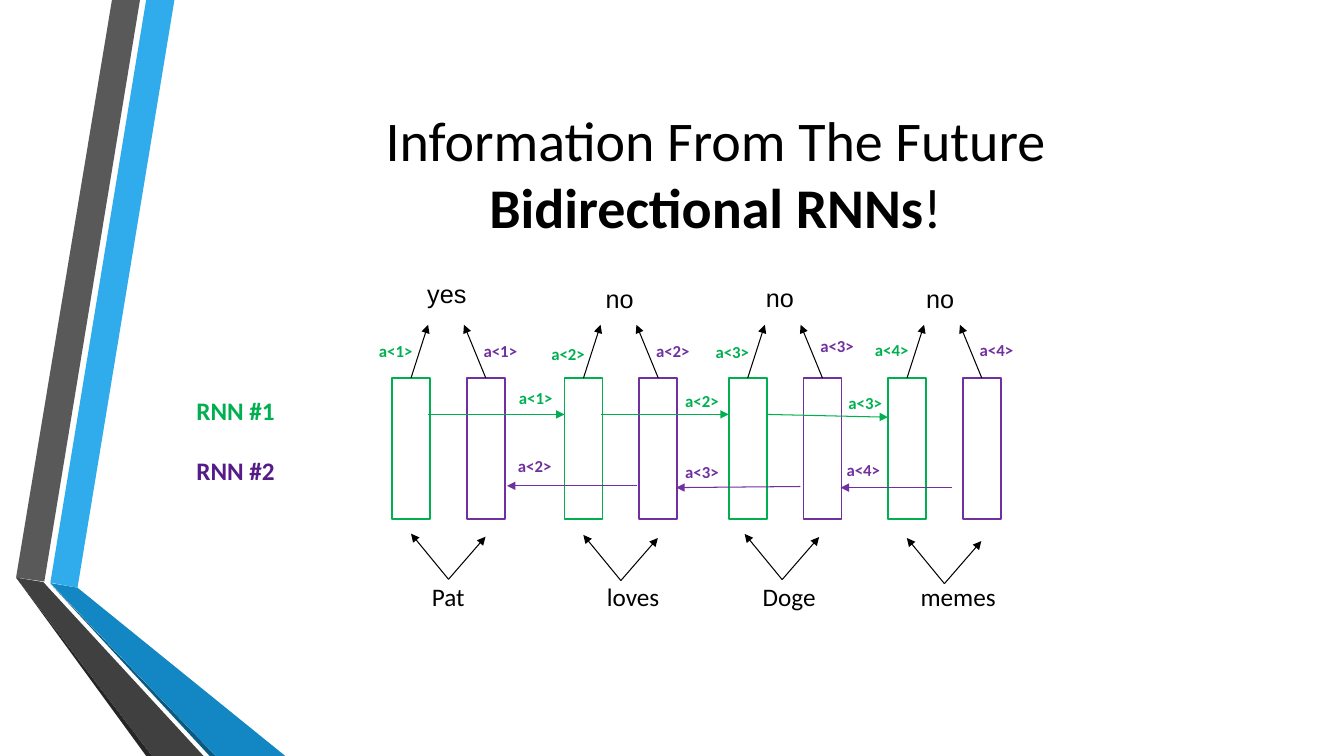
import pptx
import pptx.util
import pptx.dml.color
import pptx.enum.shapes
import pptx.enum.text
import lxml.etree

Pt = pptx.util.Pt
RGB = pptx.dml.color.RGBColor
BLACK, WHITE = RGB(0, 0, 0), RGB(255, 255, 255)
GREEN, PURPLE, DEEP = RGB(0, 176, 80), RGB(112, 48, 160), RGB(84, 27, 137)

# Ribbon bands: colour and corners
BANDS = [
    (RGB(48, 172, 236), [(36, 416.2), (55.4, 419.8), (124.6, 0), (104.4, 0)]),
    (RGB(89, 89, 89), [(100, 0), (80, 0), (11.5, 412.6), (31.7, 415.4)]),
    (RGB(38, 38, 38), [(11.5, 412.6), (104.4, 540), (108.7, 540)]),
    (RGB(12, 90, 130), [(36, 416.9), (149.8, 540), (154.1, 540)]),
    (RGB(18, 135, 195), [(36, 416.5), (154.1, 540), (203.8, 540), (55.4, 419.8)]),
    (RGB(64, 64, 64), [(145.4, 540), (34.6, 419.8), (31, 415.8), (11.5, 412.6),
                       (108.7, 540)]),
]
TITLE = [("Information From The Future", False),
         ("Bidirectional RNNs", True), ("!", False)]

# Time steps: left edge, answer and its place, word and its left edge,
# fork base, tops of the green and purple tags
STEPS = [
    (280, "yes", (298.1, 195.1), "Pat", 301.4, (320.4, 413.8), 239.8, 239.8),
    (403.2, "no", (425.5, 198.7), "loves", 426.4, (443.5, 414.7), 241.9, 239.8),
    (520.5, "no", (540, 198), "Doge", 537.7, (558.7, 414), 240.5, 236.2),
    (634.3, "no", (654.5, 198.7), "memes", 650.5, (674.6, 416.9), 239, 239),
]
# Flows: tag, tag place, arrow start, arrow end
AHEAD = [
    ("a<1>", (363.6, 273.6), (306, 296), (403.2, 296)),
    ("a<2>", (482.4, 275.8), (429.2, 296), (520.5, 296)),
    ("a<3>", (599, 277.2), (547.2, 296), (634.3, 298)),
]
BACK = [
    ("a<2>", (362.9, 321.8), (455, 347), (362.2, 347)),
    ("a<3>", (482.4, 326.2), (571.7, 347.5), (483.1, 348.3)),
    ("a<4>", (597.6, 324.7), (679.7, 348.3), (600.5, 348.3)),
]
RNNS = [("RNN #1", GREEN), ("RNN #2", DEEP)]
TOP, WIDE, HIGH, SHIFT = 270, 27.2, 101, 53.4

deck = pptx.Presentation()
deck.slide_width, deck.slide_height = Pt(960), Pt(540)
slide = deck.slides.add_slide(deck.slide_layouts[5])
shapes = slide.shapes


def style(font, size, color, bold=False, name="Calibri"):
    font.size, font.bold, font.name = Pt(size), bold, name
    font.color.rgb = color


def label(text, spot, size, color, bold=False, name="Calibri", width=90):
    box = shapes.add_textbox(Pt(spot[0]), Pt(spot[1]), Pt(width), Pt(size * 1.2 + 7.2))
    box.text_frame.word_wrap = True
    para = box.text_frame.paragraphs[0]
    para.text = text
    style(para.font, size, color, bold, name)
    return box


def tag(text, spot, color):
    label(text, spot, 12, color, True, width=41)


def arrow(start, end, color):
    kind = pptx.enum.shapes.MSO_CONNECTOR.STRAIGHT
    link = shapes.add_connector(kind, *[Pt(v) for v in start + end])
    link.line.color.rgb, link.line.width = color, Pt(0.75)
    space = "{http://schemas.openxmlformats.org/drawingml/2006/main}"
    props = link.line._get_or_add_ln()
    lxml.etree.SubElement(props, space + "tailEnd", type="triangle")
    lxml.etree.SubElement(props.getparent(), space + "effectLst")


def cell(left, color):
    kind = pptx.enum.shapes.MSO_SHAPE.RECTANGLE
    box = shapes.add_shape(kind, Pt(left), Pt(TOP), Pt(WIDE), Pt(HIGH))
    box.shadow.inherit = False
    box.fill.solid()
    box.fill.fore_color.rgb = WHITE
    box.line.color.rgb, box.line.width = color, Pt(1.25)


# Ribbon
for color, spots in BANDS:
    first, *rest = [(Pt(x), Pt(y)) for x, y in spots]
    path = shapes.build_freeform(*first)
    path.add_line_segments(rest)
    band = path.convert_to_shape()
    band.shadow.inherit = False
    band.fill.solid()
    band.fill.fore_color.rgb = color
    band.line.fill.background()

# Title
title = shapes.title
title.left, title.top, title.width, title.height = Pt(116.6), Pt(54), Pt(789), Pt(138.2)
frame = title.text_frame
frame.auto_size = pptx.enum.text.MSO_AUTO_SIZE.NONE
frame.vertical_anchor = pptx.enum.text.MSO_ANCHOR.MIDDLE
para = frame.paragraphs[0]
para.alignment = pptx.enum.text.PP_ALIGN.CENTER
for spot, (text, bold) in enumerate(TITLE):
    if spot == 1:
        para.add_line_break()
    run = para.add_run()
    run.text = text
    style(run.font, 40, BLACK, bold)

# Time steps, with arrows to the answer and from the word
for num, (left, reply, place, word, edge, base, high, low) in enumerate(STEPS, 1):
    cell(left, GREEN)
    cell(left + SHIFT, PURPLE)
    mid = left + WIDE / 2
    arrow((mid, TOP), (mid + 12.2, 232), BLACK)
    arrow((mid + SHIFT, TOP), (mid + SHIFT - 15.6, 232), BLACK)
    label(reply, place, 18, BLACK, name="Arial")
    label(word, (edge, 411.8), 18, BLACK)
    for dx, dy in [(-26.8, -32.6), (26.4, -30.4)]:
        arrow(base, (base[0] + dx, base[1] + dy), BLACK)
    tag(f"a<{num}>", (left - 16.4, high), GREEN)
    tag(f"a<{num}>", (left + 58.4, low), PURPLE)

# Flows between steps
for color, flows in [(GREEN, AHEAD), (PURPLE, BACK)]:
    for text, place, start, end in flows:
        arrow(start, end, color)
        tag(text, place, color)

# Network names
(name, color), (second, shade) = RNNS
box = label(name, (133.2, 278.6), 18, color, True)
para = box.text_frame.add_paragraph()
para.text = second
para.space_before = Pt(21.5)
style(para.font, 18, shade, True)

deck.save("out.pptx")
